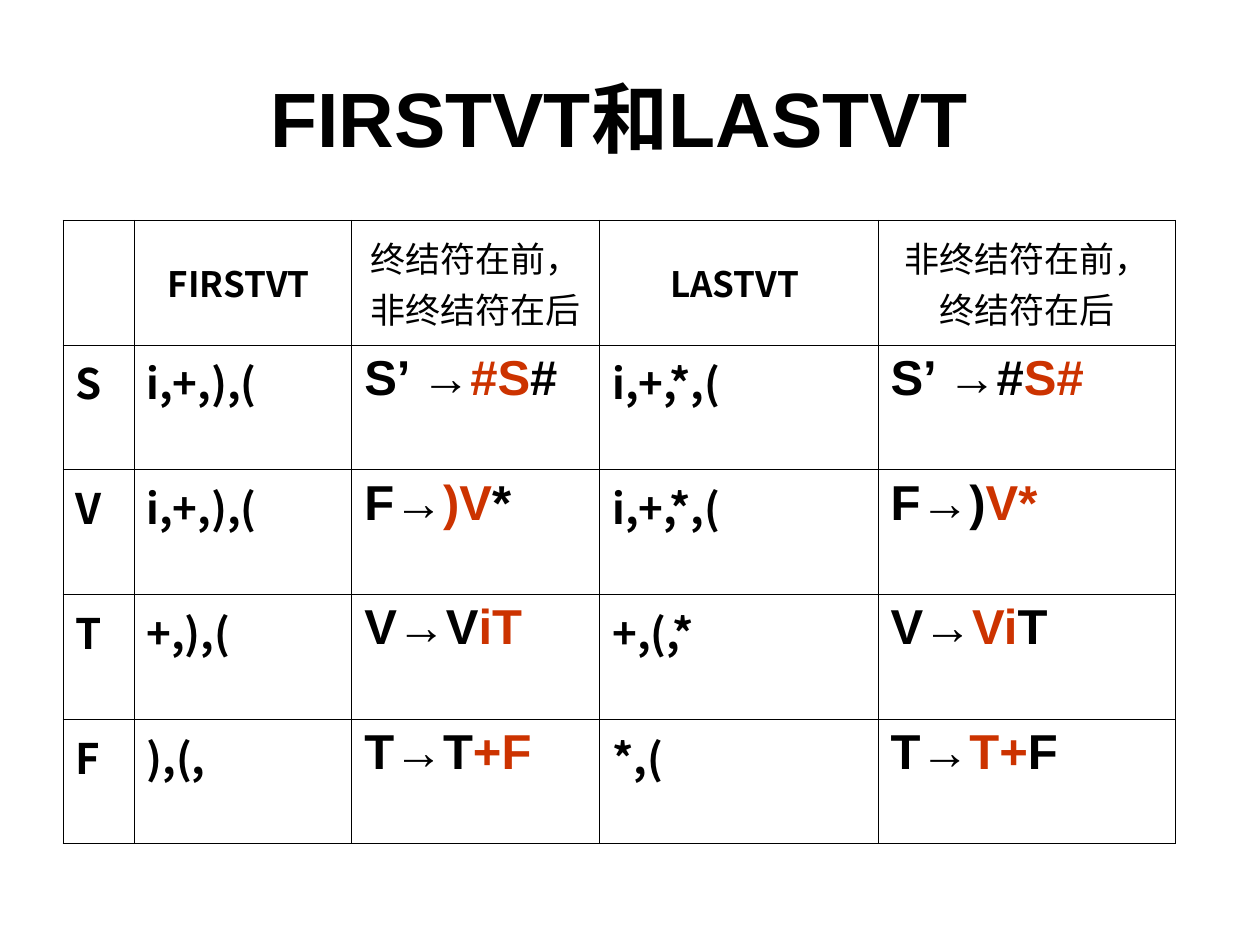
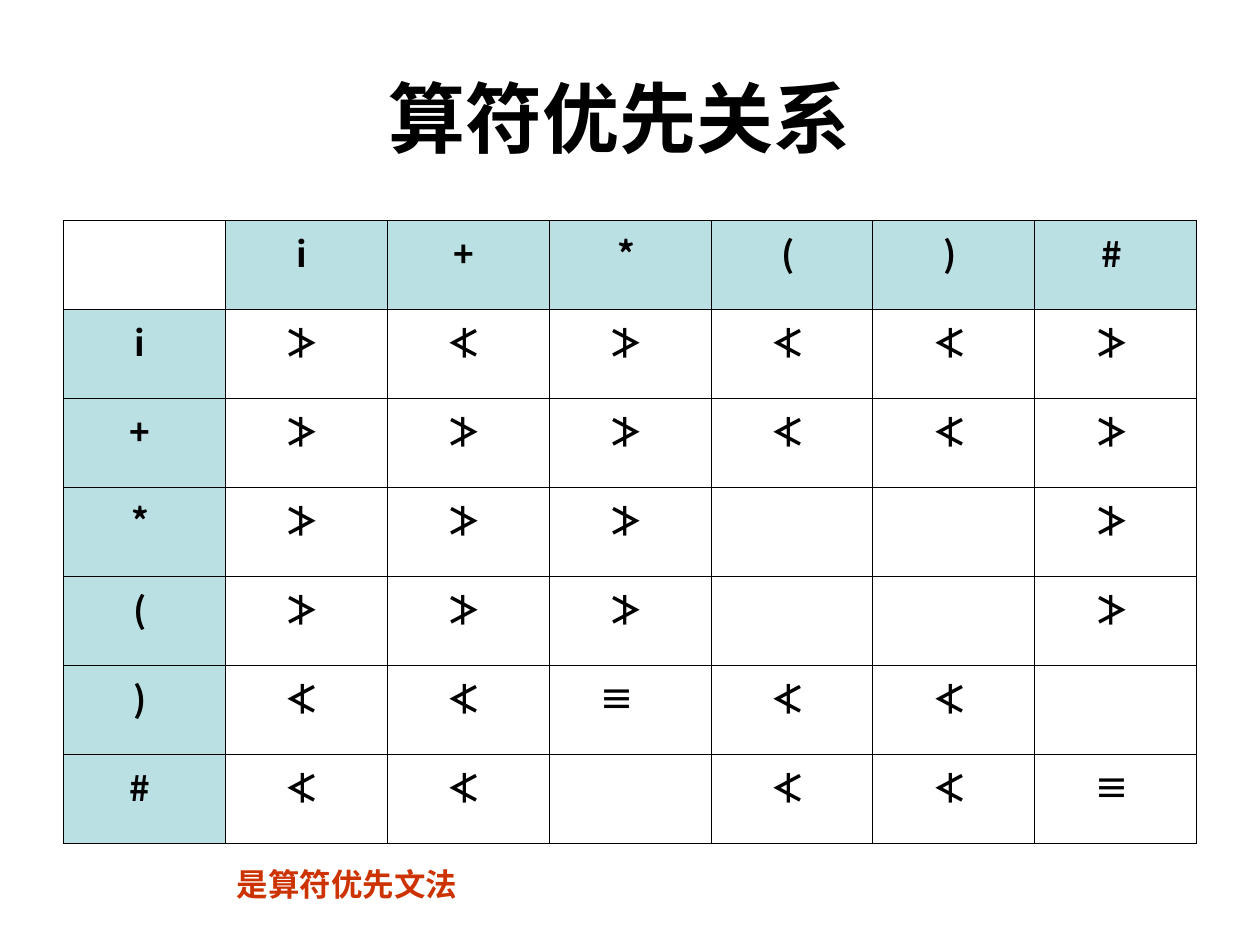
"""Build two slides on FIRSTVT and LASTVT sets and operator precedence."""
from dataclasses import dataclass

from lxml import etree
from pptx import Presentation
from pptx.dml.color import RGBColor
from pptx.enum.text import MSO_ANCHOR, MSO_AUTO_SIZE, PP_ALIGN
from pptx.oxml.ns import qn
from pptx.util import Cm, Pt

LEFT, CENTER = PP_ALIGN.LEFT, PP_ALIGN.CENTER
TOP, MIDDLE = MSO_ANCHOR.TOP, MSO_ANCHOR.MIDDLE
FIT = MSO_AUTO_SIZE.SHAPE_TO_FIT_TEXT


@dataclass(frozen=True)
class Theme:
    """Colours, fonts and type sizes shared by both slides."""
    ink: str = "000000"
    red: str = "CC3300"
    band: str = "BBE0E3"
    sans: str = "Arial"
    cjk: str = "Noto Sans CJK SC"
    title: int = 44
    rule: int = 28
    sign: int = 24
    head: int = 20
    note: int = 18
    line: float = 0.45


THEME = Theme()

SETS_TITLE = "FIRSTVT和LASTVT "
SETS_HEAD = ["", "FIRSTVT ", "终结符在前，非终结符在后",
             "LASTVT ", "非终结符在前，终结符在后"]
SETS = [
    ["S", "i,+,),(", ("S’ →", "#S", "#"), "i,+,*,(", ("S’ →#", "S#")],
    ["V", "i,+,),(", ("F→", ")V", "*"), "i,+,*,(", ("F→)", "V*")],
    ["T", "+,),(", ("V→V", "iT"), "+,(,*", ("V→", "Vi", "T")],
    ["F", "),(,", ("T→T", "+F"), "*,(", ("T→", "T+", "F")],
]
SETS_COLS = [1.43, 4.39, 5.0, 5.61, 6.0]

ORDER_TITLE = "算符优先关系 "
SIGNS = "i+*()#"
ORDER = {
    "i": "≯≮≯≮≮≯",
    "+": "≯≯≯≮≮≯",
    "*": "≯≯≯  ≯",
    "(": "≯≯≯  ≯",
    ")": "≮≮≡≮≮ ",
    "#": "≮≮ ≮≮≡",
}
NOTE = "是算符优先文法"

GRID_X, GRID_Y, GRID_W, GRID_H = 1.27, 4.44, 22.86, 12.57
HANG = Cm(0.95)


def add_run(para, text, size, font, color=THEME.ink, bold=True):
    """Append one formatted run."""
    run = para.add_run()
    run.text = text
    face = run.font
    face.size, face.name, face.bold = Pt(size), font, bold
    face.color.rgb = RGBColor.from_string(color)
    etree.SubElement(run._r.get_or_add_rPr(), qn("a:ea"), typeface=font)


def add_page(deck, title):
    """Add a title-only slide and place its title."""
    page = deck.slides.add_slide(deck.slide_layouts[5])
    box = page.shapes.title
    box.left, box.top, box.width, box.height = Cm(1.27), Cm(0.76), Cm(22.86), Cm(3.18)
    box.text_frame.vertical_anchor = MIDDLE
    para = box.text_frame.paragraphs[0]
    para.alignment = CENTER
    add_run(para, title, THEME.title, THEME.sans)
    return page


def add_grid(page, cols, count):
    """Add a plain ruled table with equal rows."""
    grid = page.shapes.add_table(count, len(cols), Cm(GRID_X), Cm(GRID_Y),
                                 Cm(sum(cols)), Cm(GRID_H)).table
    grid.first_row = grid.horz_banding = False
    for col, width in zip(grid.columns, cols):
        col.width = Cm(width)
    for cell in grid.iter_cells():
        cell.fill.background()
        props = cell._tc.get_or_add_tcPr()
        for spot, side in enumerate(("lnL", "lnR", "lnT", "lnB")):
            line = etree.Element(qn(f"a:{side}"), w=str(Pt(THEME.line)))
            fill = etree.SubElement(line, qn("a:solidFill"))
            etree.SubElement(fill, qn("a:srgbClr"), val=THEME.ink)
            props.insert(spot, line)
    return grid


def fill_cell(cell, parts, size, font, align=LEFT, anchor=TOP, bold=True, hang=True):
    """Write runs into a cell, every second one in red."""
    cell.vertical_anchor = anchor
    para = cell.text_frame.paragraphs[0]
    para.alignment = align
    if hang:
        props = para._p.get_or_add_pPr()
        props.set("marL", str(HANG))
        props.set("indent", str(-HANG))
    for spot, part in enumerate(parts):
        add_run(para, part, size, font, THEME.red if spot % 2 else THEME.ink, bold)


def build_sets(deck):
    """Build the table of sets and the rules behind them."""
    grid = add_grid(add_page(deck, SETS_TITLE), SETS_COLS, len(SETS) + 1)
    for x, text in enumerate(SETS_HEAD):
        if text:
            name = x % 2 == 1
            fill_cell(grid.cell(0, x), [text], THEME.head, THEME.cjk,
                      CENTER, MIDDLE, bold=name, hang=name)
    for y, row in enumerate(SETS, 1):
        for x, item in enumerate(row):
            if isinstance(item, tuple):
                fill_cell(grid.cell(y, x), item, THEME.rule, THEME.sans)
            else:
                fill_cell(grid.cell(y, x), [item], THEME.sign, THEME.cjk)


def build_order(deck):
    """Build the precedence matrix and its verdict."""
    page = add_page(deck, ORDER_TITLE)
    size = len(SIGNS) + 1
    grid = add_grid(page, [GRID_W / size] * size, size)
    rows = [" " + SIGNS] + [sign + marks for sign, marks in ORDER.items()]
    for y, row in enumerate(rows):
        for x, mark in enumerate(row):
            if mark == " ":
                continue
            cell = grid.cell(y, x)
            fill_cell(cell, [mark + " "], THEME.head, THEME.cjk, CENTER)
            if x == 0 or y == 0:
                cell.fill.solid()
                cell.fill.fore_color.rgb = RGBColor.from_string(THEME.band)
    grid.cell(5, 3).margin_right = Cm(0.61)

    frame = page.shapes.add_textbox(Cm(4.52), Cm(17.32), Cm(4.95), Cm(1.02)).text_frame
    frame.word_wrap = False
    frame.auto_size = FIT
    add_run(frame.paragraphs[0], NOTE, THEME.note, THEME.sans, THEME.red)


def main():
    """Build and save the deck."""
    deck = Presentation()
    deck.slide_width, deck.slide_height = Cm(25.4), Cm(19.05)
    build_sets(deck)
    build_order(deck)
    deck.save("out.pptx")


if __name__ == "__main__":
    main()
